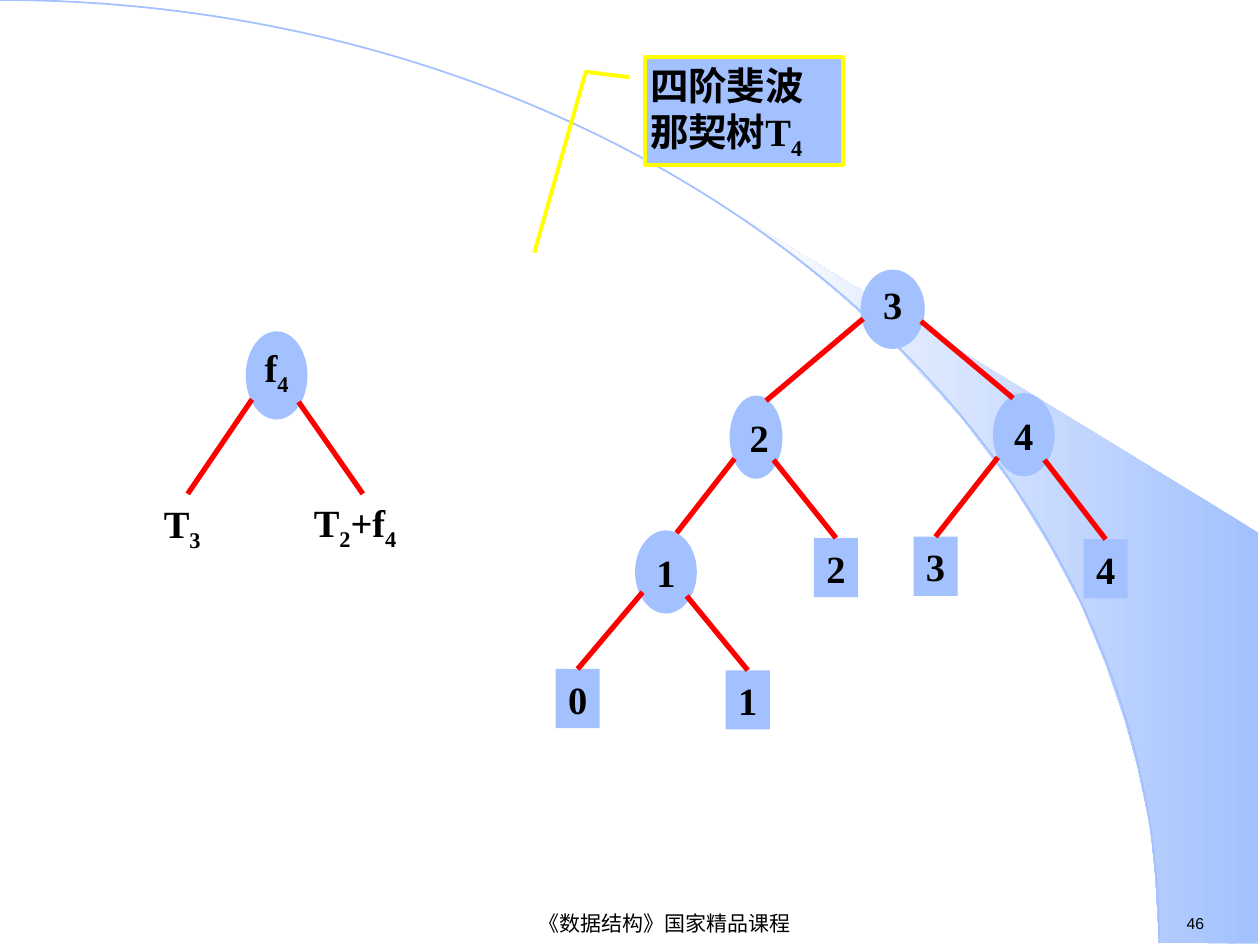
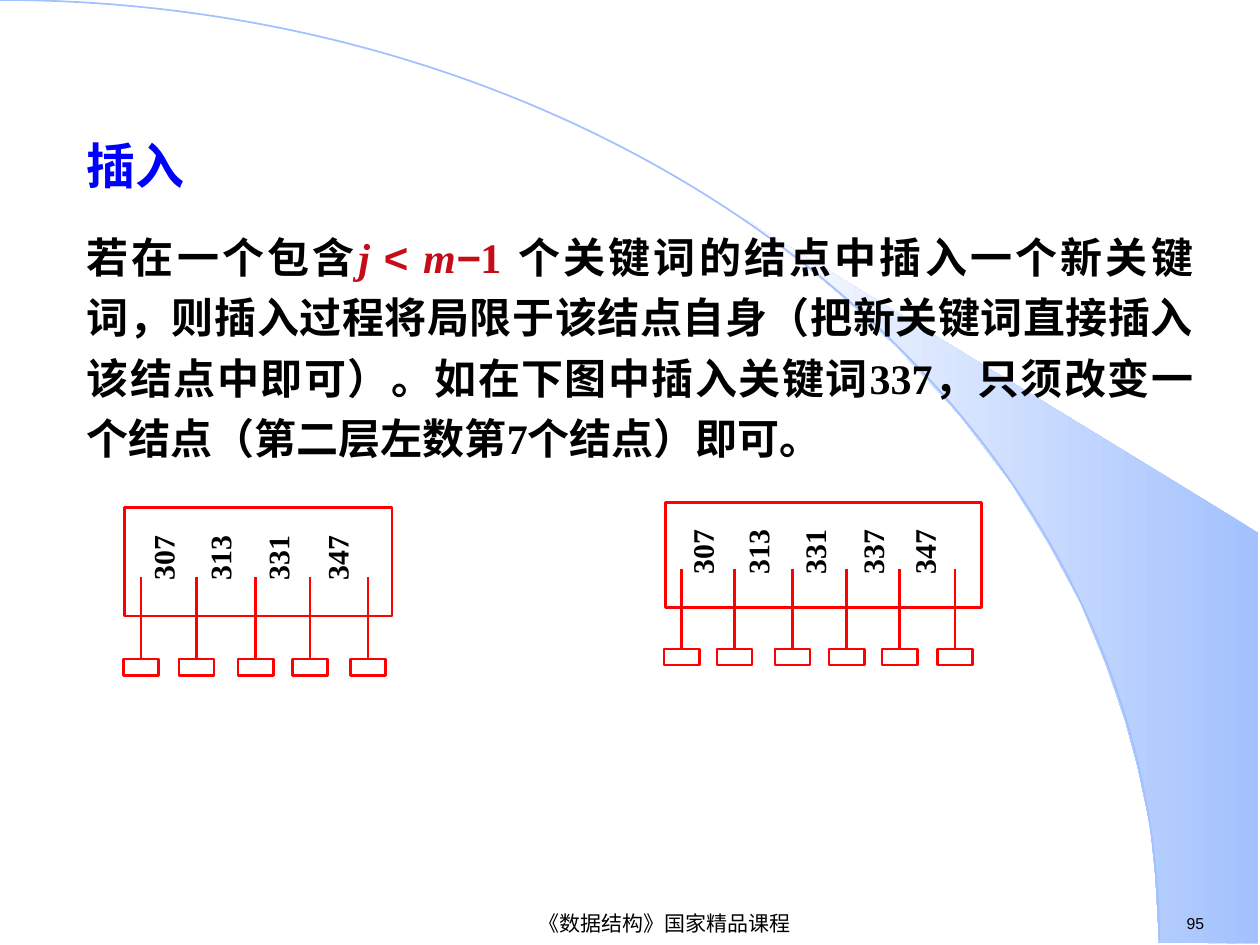
from typing import NamedTuple, Sequence

from lxml import etree
from pptx import Presentation
from pptx import util as u
from pptx.dml import color as dml
from pptx.enum import shapes, text
from pptx.oxml import ns

BLUE, PALE, RED, YELLOW = "A2C1FE", "FEFEFE", "FF0000", "FFFF00"
BLACK, TITLE, CRIMSON = "000000", "0000FF", "C60C19"
SERIF, SANS = "Times New Roman", "Arial"
FOOTER = "《数据结构》国家精品课程"
OVAL, RECT = shapes.MSO_SHAPE.OVAL, shapes.MSO_SHAPE.RECTANGLE
MID, TOP = text.MSO_ANCHOR.MIDDLE, text.MSO_ANCHOR.TOP
LEFT, CENTER, FULL = text.PP_ALIGN.LEFT, text.PP_ALIGN.CENTER, text.PP_ALIGN.JUSTIFY
WEDGE = [(9.2, 7.48), (9.99, 7.49), (9.99, 4.23), (5.89, 1.73), (6.24, 1.99),
         (6.53, 2.22), (6.85, 2.5), (7.16, 2.8), (7.62, 3.3), (8.03, 3.84),
         (8.32, 4.31), (8.58, 4.79), (8.78, 5.28), (8.93, 5.72), (9.03, 6.09),
         (9.13, 6.56), (9.17, 6.96)]


class Box(NamedTuple):
    """A place on the slide in inches."""
    left: float
    top: float
    width: float
    height: float


class Run(NamedTuple):
    """A piece of text with its look."""
    words: str
    size: float = 22
    color: str = BLACK
    face: str = SERIF
    bold: bool = True
    italic: bool = False
    sub: bool = False


class Node(NamedTuple):
    """A tree node; low lifts its label and push moves it right."""
    label: str
    box: Box
    low: float = 0
    push: float = 0


class Edge(NamedTuple):
    """A tree edge, joined to a leaf when one is given."""
    start: tuple[float, float]
    end: tuple[float, float]
    leaf: int | None = None


class Block(NamedTuple):
    """An index block with its keys and pointer slots."""
    frame: Box
    keys: dict[str, float]
    key_y: float
    pins: Sequence[float]
    pin_top: float
    slot_top: float


INNER = [
    Node("f_4", Box(1.95, 2.63, 0.49, 0.7), 0.08),
    Node("3", Box(6.83, 2.14, 0.51, 0.63), 0.08),
    Node("2", Box(5.79, 3.14, 0.42, 0.66), push=0.05),
    Node("4", Box(7.88, 3.12, 0.49, 0.66)),
    Node("1", Box(5.04, 4.21, 0.49, 0.66)),
]
LEAVES = [Node(label, Box(left, top, 0.35, 0.47)) for label, left, top in (
    ("0", 4.41, 5.31), ("1", 5.76, 5.32), ("2", 6.46, 4.27),
    ("3", 7.25, 4.26), ("4", 8.6, 4.28))]
EDGES = [
    Edge((2, 3.17), (1.49, 3.92)), Edge((2.37, 3.19), (2.88, 3.92)),
    Edge((6.85, 2.53), (6.08, 3.18)), Edge((7.31, 2.55), (8.04, 3.16)),
    Edge((5.83, 3.64), (5.37, 4.23)), Edge((6.14, 3.65), (6.65, 4.29), 2),
    Edge((7.92, 3.63), (7.41, 4.29), 3), Edge((8.29, 3.65), (8.8, 4.29), 4),
    Edge((5.1, 4.7), (4.58, 5.36), 0), Edge((5.45, 4.73), (5.96, 5.37), 1),
]
BLOCKS = [
    Block(Box(5.28, 3.99, 2.51, 0.83),
          {"307": 5.6, "313": 6.04, "331": 6.49, "337": 6.95, "347": 7.36}, 4.38,
          (5.41, 5.83, 6.29, 6.72, 7.14, 7.58), 4.52, 5.15),
    Block(Box(0.99, 4.03, 2.12, 0.86),
          {"307": 1.32, "313": 1.77, "331": 2.23, "347": 2.7}, 4.43,
          (1.12, 1.56, 2.03, 2.46, 2.92), 4.58, 5.23),
]


def inches(values: Sequence[float]) -> list:
    """Turn plain numbers into lengths."""
    return [u.Inches(v) for v in values]


def tint(target, color: str) -> None:
    """Colour a fill or font from a hex string."""
    if hasattr(target, "solid"):
        target.solid()
        target.fore_color.rgb = dml.RGBColor.from_string(color)
    else:
        target.color.rgb = dml.RGBColor.from_string(color)


def outline(shape, color: str | None, width: float = 1.5) -> None:
    """Set or remove the outline of a shape."""
    if color is None:
        shape.line.fill.background()
    else:
        tint(shape.line.fill, color)
        shape.line.width = u.Pt(width)


def split(label: str) -> list[Run]:
    """Make runs of a label where _ marks a subscript digit."""
    head, *tail = label.split("_")
    runs = [Run(head)]
    for part in tail:
        runs.append(Run(part[0], sub=True))
        if part[1:]:
            runs.append(Run(part[1:]))
    return runs


def fill_para(para, runs: Sequence[Run], align=LEFT) -> None:
    """Write runs into a paragraph."""
    para.alignment = align
    para._p.get_or_add_pPr().set("hangingPunct", "0")
    for item in runs:
        run = para.add_run()
        run.text = item.words
        font = run.font
        font.name, font.size = item.face, u.Pt(item.size)
        font.bold, font.italic = item.bold, item.italic
        tint(font, item.color)
        if item.sub:
            run._r.get_or_add_rPr().set("baseline", "-25000")


def set_frame(shape, insets: Sequence[float], anchor=TOP, wrap: bool = True):
    """Prepare the text frame of a shape."""
    frame = shape.text_frame
    frame.word_wrap, frame.vertical_anchor = wrap, anchor
    (frame.margin_left, frame.margin_top,
     frame.margin_right, frame.margin_bottom) = inches(insets)
    return frame


def add_text(slide, box: Box, runs: Sequence[Run], insets: Sequence[float],
             align=LEFT, anchor=TOP):
    """Add a text box with one paragraph."""
    shape = slide.shapes.add_textbox(*inches(box))
    fill_para(set_frame(shape, insets, anchor).paragraphs[0], runs, align)
    return shape


def add_shape(slide, kind, box: Box, fill: str | None, line: str | None,
              width: float = 1.5):
    """Add a preset shape."""
    shape = slide.shapes.add_shape(kind, *inches(box))
    shape.shadow.inherit = False
    if fill:
        tint(shape.fill, fill)
    else:
        shape.fill.background()
    outline(shape, line, width)
    return shape


def add_line(slide, start, end, width: float):
    """Add a red straight line."""
    line = slide.shapes.add_connector(
        shapes.MSO_CONNECTOR.STRAIGHT, *inches((*start, *end)))
    outline(line, RED, width)
    etree.SubElement(line._element.spPr, ns.qn("a:effectLst"))
    return line


def add_wedge(slide) -> None:
    """Add the shaded wedge beside the curve."""
    first, *rest = [inches(p) for p in WEDGE]
    pen = slide.shapes.build_freeform(*first)
    pen.add_line_segments(rest, close=True)
    wedge = pen.convert_to_shape()
    wedge.shadow.inherit = False
    wedge.fill.gradient()
    wedge.fill.gradient_angle = 180
    for stop, color, place in zip(wedge.fill.gradient_stops, (BLUE, PALE), (0, 1)):
        tint(stop, color)
        stop.position = place
    outline(wedge, None)


def add_page(deck, number: str):
    """Add a slide with the shared curve, footer and number."""
    slide = deck.slides.add_slide(deck.slide_layouts[6])
    add_wedge(slide)
    add_shape(slide, shapes.MSO_SHAPE.ARC, Box(-9.2, 0, 18.4, 14.97), None, BLUE, 1)
    pad = (0.1, 0.05, 0.1, 0.05)
    add_text(slide, Box(9.32, 7.2, 0.77, 0.25),
             [Run(number, 9, face=SANS, bold=False)], pad)
    add_text(slide, Box(2.4, 7.21, 5.75, 0.24),
             [Run(FOOTER, 12, face=SANS, bold=False)], pad, CENTER, MID)
    return slide


def add_node(slide, kind, node: Node):
    """Add a tree node with its label."""
    shape = add_shape(slide, kind, node.box, BLUE, None)
    frame = set_frame(shape, (node.push, 0, 0, node.low), MID, False)
    fill_para(frame.paragraphs[0], split(node.label), CENTER)
    return shape


def draw_tree(slide) -> None:
    """Draw the Fibonacci trees and the callout."""
    for node in INNER:
        add_node(slide, OVAL, node)
    leaves = [add_node(slide, RECT, node) for node in LEAVES]
    for edge in EDGES:
        line = add_line(slide, edge.start, edge.end, 3)
        if edge.leaf is not None:
            line.end_connect(leaves[edge.leaf], 0)
    for label, box in (("T_3", Box(1.3, 3.97, 0.35, 0.5)),
                       ("T_2+f_4", Box(2.49, 3.96, 0.75, 0.5))):
        add_text(slide, box, split(label), (0, 0, 0, 0.08))
    note = add_shape(slide, shapes.MSO_SHAPE.LINE_CALLOUT_2,
                     Box(5.12, 0.45, 1.57, 0.86), BLUE, YELLOW, 2.25)
    for i, value in enumerate((0.19, -0.08, 0.14, -0.3, 1.81, -0.56)):
        note.adjustments[i] = value
    fill_para(set_frame(note, [0.04] * 4).paragraphs[0], split("四阶斐波那契树T_4"))


def draw_block(slide, block: Block) -> None:
    """Draw an index block with keys and slots."""
    add_shape(slide, RECT, block.frame, None, RED)
    for x in block.pins:
        slot = add_shape(slide, RECT, Box(x - 0.14, block.slot_top, 0.28, 0.13),
                         None, RED)
        pin = add_line(slide, (x, block.slot_top), (x, block.pin_top), 1.5)
        pin.begin_connect(slot, 0)
    for key, x in block.keys.items():
        label = add_text(slide, Box(x - 0.33, block.key_y - 0.12, 0.66, 0.24),
                         [Run(key, 17)], (0, 0.06, 0, 0), CENTER)
        label.rotation = 270
        label.text_frame.paragraphs[0].line_spacing = 0.56


def draw_insert(slide) -> None:
    """Write the insertion rule and draw both blocks."""
    body = add_text(slide, Box(0.59, 1.03, 8.98, 2.7), [Run("插入", 28, TITLE)],
                    (0.1, 0.05, 0.1, 0.05), FULL)
    para = body.text_frame.add_paragraph()
    para.line_spacing, para.space_before = 1.2, u.Pt(15)
    fill_para(para, [
        Run("若在一个包含", 24),
        Run("j ", 24, CRIMSON, italic=True),
        Run("< ", 24, CRIMSON, SANS),
        Run("m", 24, CRIMSON, italic=True),
        Run("−", 24, CRIMSON, SANS, italic=True),
        Run("1 ", 24, CRIMSON),
        Run("个关键词的结点中插入一个新关键词，则插入过程将局限于该结点自身"
            "（把新关键词直接插入该结点中即可）。如在下图中插入关键词337，"
            "只须改变一个结点（第二层左数第7个结点）即可。", 24),
    ], FULL)
    for block in BLOCKS:
        draw_block(slide, block)


def main() -> None:
    """Build and save the deck."""
    deck = Presentation()
    deck.slide_width, deck.slide_height = inches((10, 7.5))
    draw_tree(add_page(deck, "46"))
    draw_insert(add_page(deck, "95"))
    deck.save("out.pptx")


if __name__ == "__main__":
    main()
